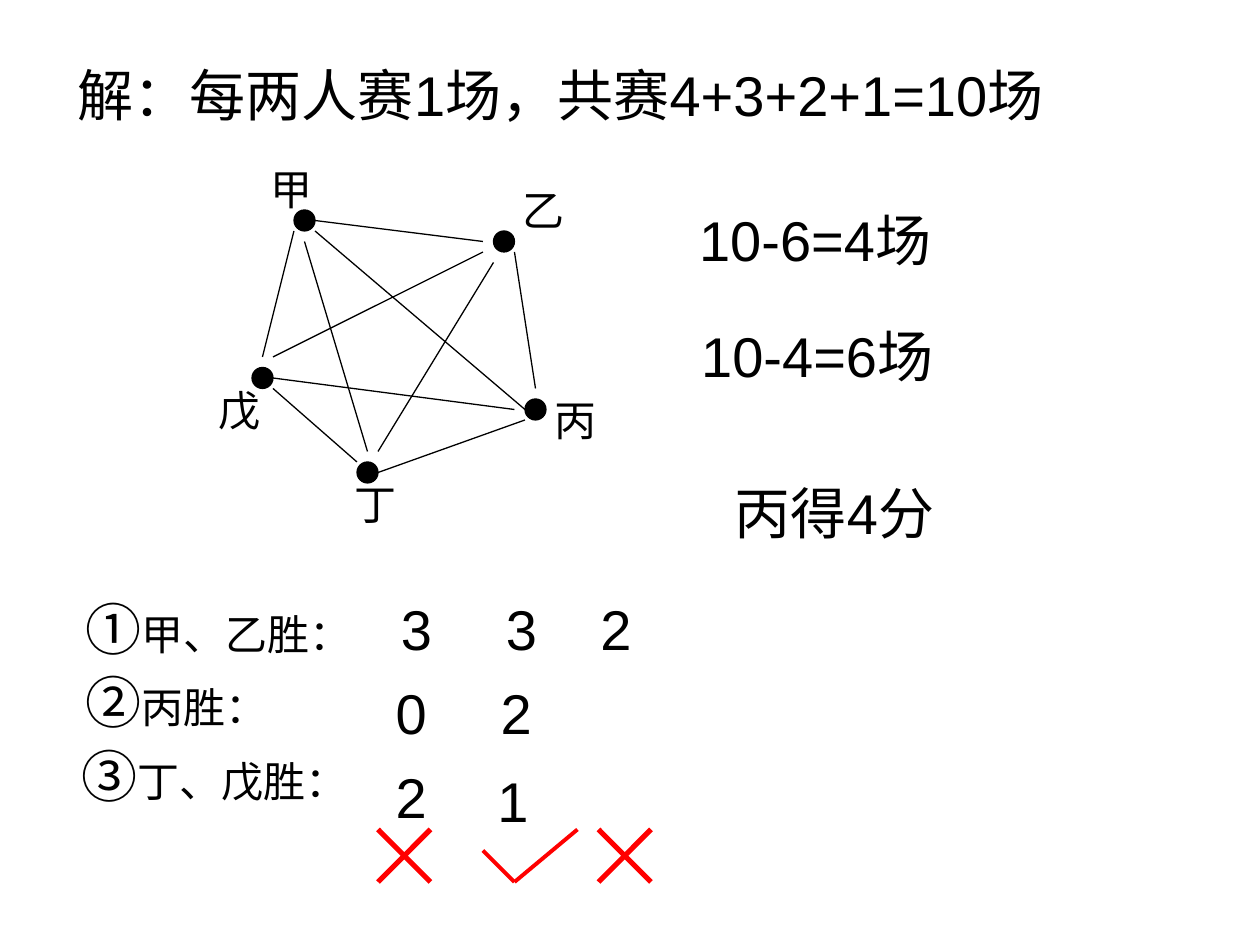
import pptx
import pptx.dml.color
import pptx.enum.shapes
import pptx.enum.text
import pptx.oxml.xmlchemy
import pptx.util
from lxml import etree

COLUMNS, ROWS = 120, 90
THEME = {
    "font": "Arial",
    "ink": pptx.dml.color.RGBColor(0, 0, 0),
    "mark": pptx.dml.color.RGBColor(255, 0, 0),
    "large": pptx.util.Pt(32),
    "small": pptx.util.Pt(24),
    "thin": pptx.util.Pt(0.75),
    "tick": pptx.util.Pt(2.25),
    "cross": pptx.util.Pt(3),
}

presentation = pptx.Presentation()
presentation.slide_width = pptx.util.Inches(10)
presentation.slide_height = pptx.util.Inches(7.5)
CELL = presentation.slide_width / COLUMNS  # square: also slide_height / ROWS
slide = presentation.slides.add_slide(presentation.slide_layouts[5])


def write(shape, column, row, width, height, size, *texts):
    """Place a text shape on the grid; the first run is large if there are two."""
    shape.left, shape.top, shape.width, shape.height = (
        round(cells * CELL) for cells in (column, row, width, height))
    frame = shape.text_frame
    frame.word_wrap = True
    frame.auto_size = pptx.enum.text.MSO_AUTO_SIZE.NONE
    frame.vertical_anchor = pptx.enum.text.MSO_ANCHOR.TOP
    paragraph = frame.paragraphs[0]
    paragraph.alignment = pptx.enum.text.PP_ALIGN.LEFT
    paragraph.font.name = THEME["font"]
    paragraph.font.size = THEME[size]
    paragraph.font.color.rgb = THEME["ink"]
    for text in texts:
        paragraph.add_run().text = text
    if len(texts) > 1:
        paragraph.runs[0].font.size = THEME["large"]


def draw_line(start, end, color, width):
    ends = [round(cells * CELL) for cells in (*start, *end)]
    line = slide.shapes.add_connector(pptx.enum.shapes.MSO_CONNECTOR.STRAIGHT, *ends)
    line.line.color.rgb = THEME[color]
    line.line.width = THEME[width]
    etree.SubElement(line._element.spPr, pptx.oxml.ns.qn("a:effectLst"))


write(slide.shapes.title, 6.2, 5.2, 103, 7.7, "large", "解：每两人赛1场，共赛4+3+2+1=10场")

# Players: dot centre, then left and top of the label
players = {
    "甲": ((29, 21), (24.6, 15)),
    "乙": ((48, 23), (48.6, 17)),
    "丙": ((51, 39), (51.6, 37)),
    "丁": ((35, 45), (32.6, 45)),
    "戊": ((25, 36), (19.6, 36)),
}
for name, ((x, y), label) in players.items():
    dot = slide.shapes.add_shape(
        pptx.enum.shapes.MSO_SHAPE.OVAL,
        *(round(cells * CELL) for cells in (x - 1, y - 1, 2, 2)))
    dot.shadow.inherit = False
    dot.fill.solid()
    dot.fill.fore_color.rgb = THEME["ink"]
    dot.line.color.rgb = THEME["ink"]
    dot.line.width = THEME["thin"]
    write(slide.shapes.add_textbox(0, 0, 0, 0), *label, 6.4, 6, "small", name)

# One line for each of the ten games
games = [
    ((30, 21), (46, 23)), ((28, 22), (25, 34)), ((30, 22), (50, 39)),
    ((29, 23), (35, 43)), ((49, 24), (51, 37)), ((36, 43), (47, 25)),
    ((26, 34), (46, 24)), ((36, 45), (50, 40)), ((26, 36), (49, 39)),
    ((26, 37), (34, 44)),
]
for start, end in games:
    draw_line(start, end, "ink", "thin")

equations = [("10-6=4场", 65.4, 19), ("10-4=6场", 65.6, 30), ("丙得4分", 68.8, 45)]
for text, column, row in equations:
    write(slide.shapes.add_textbox(0, 0, 0, 0), column, row, 27, 7.7, "large", text)

cases = [("①", "甲、乙胜：", 7), ("②", "丙胜：", 7), ("③", "丁、戊胜：", 6.6)]
for index, (number, text, column) in enumerate(cases):
    write(slide.shapes.add_textbox(0, 0, 0, 0), column, 56 + 7 * index, 29.5, 7.7,
          "small", number, text)

wins = [
    ("3", 37, 56), ("3", 47, 56), ("2", 56, 56),
    ("0", 36.5, 64), ("2", 46.5, 64),
    ("2", 36.5, 72), ("1", 46.2, 72.4),
]
for text, column, row in wins:
    write(slide.shapes.add_textbox(0, 0, 0, 0), column, row, 7, 7.7, "large", text)

# Only the middle column of wins is possible
for left in (36, 57):
    draw_line((left, 79), (left + 5, 84), "mark", "cross")
    draw_line((left, 84), (left + 5, 79), "mark", "cross")
draw_line((46, 81), (49, 84), "mark", "tick")
draw_line((49, 84), (55, 79), "mark", "tick")

presentation.save("out.pptx")
